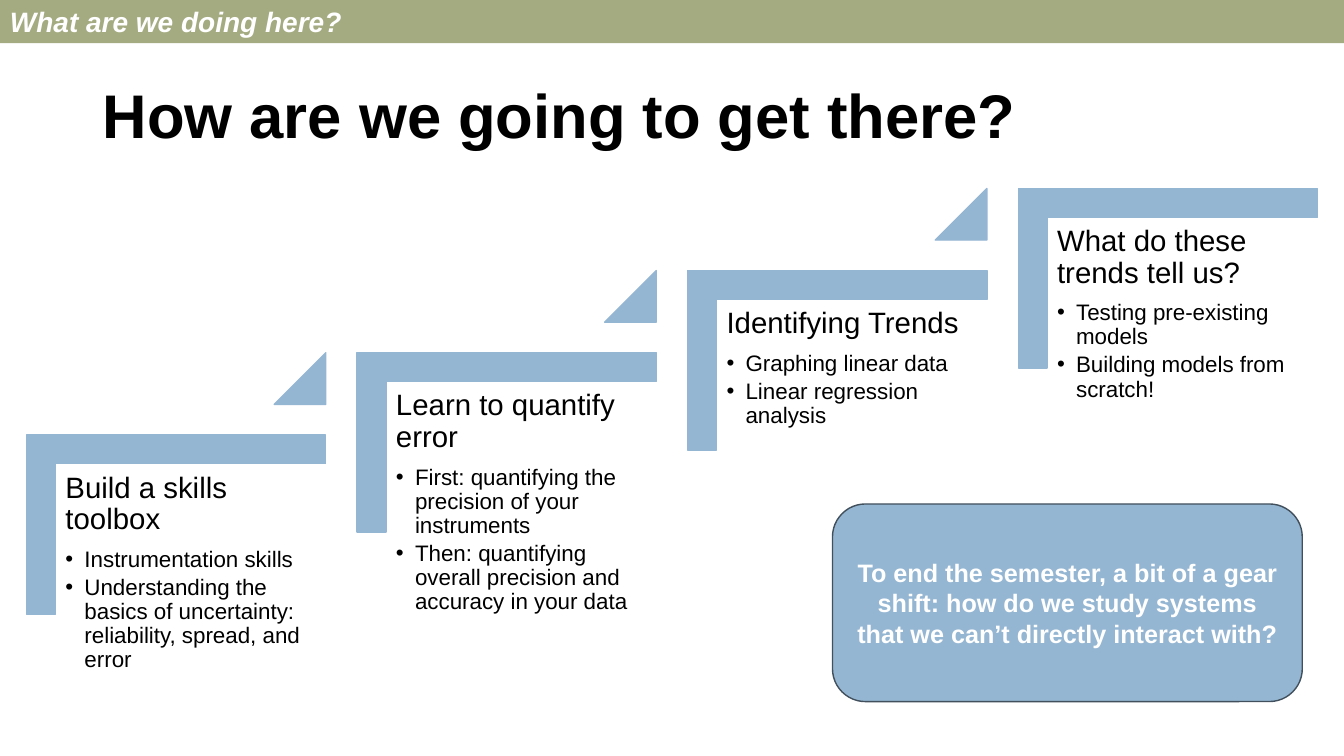
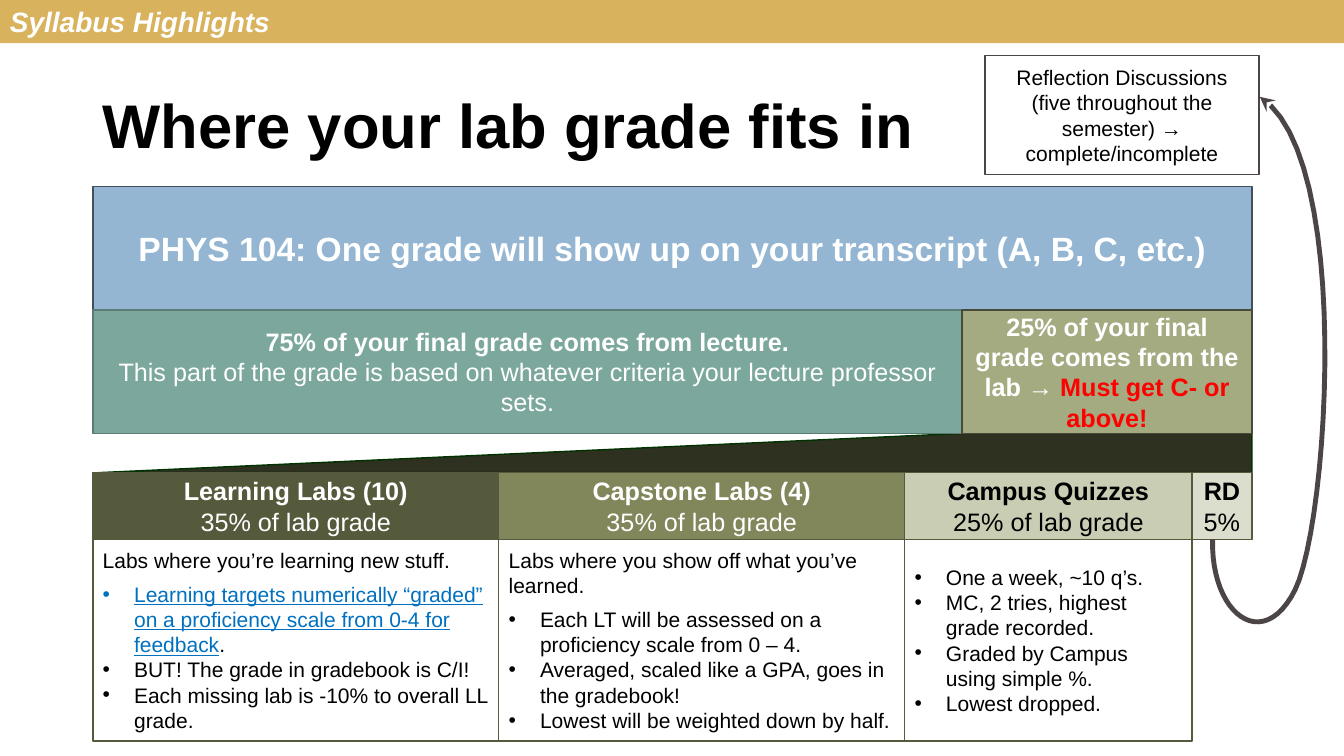
from lxml import etree
from pptx import Presentation
from pptx.dml.color import RGBColor
from pptx.enum.shapes import MSO_SHAPE
from pptx.enum.text import MSO_ANCHOR, PP_ALIGN
from pptx.oxml.ns import qn
from pptx.util import Cm, Pt

RECTANGLE, ROUNDED = MSO_SHAPE.RECTANGLE, MSO_SHAPE.ROUNDED_RECTANGLE
CORNER, TRIANGLE = MSO_SHAPE.CORNER, MSO_SHAPE.ISOSCELES_TRIANGLE
LEFT, CENTER = PP_ALIGN.LEFT, PP_ALIGN.CENTER
TOP, MIDDLE = MSO_ANCHOR.TOP, MSO_ANCHOR.MIDDLE

FONT = "Arial"
COLORS = {
    "white": "FFFFFF", "black": "000000", "red": "FF0000", "link": "0070C0",
    "blue": "94B6D2", "blue_edge": "41505C",
    "teal": "7BA79D", "teal_edge": "5B7C74",
    "sage": "A5AB81", "sage_edge": "484B39", "gold": "D8B25C",
    "olive": "565A3C", "moss": "81875A", "pale": "C9CDB3", "palest": "DBDDCD",
    "wedge": "2E3020", "wedge_edge": "003300", "grey": "4C4545",
}

# Lengths are in centimetres.
SLIDE_WIDTH, SLIDE_HEIGHT = 33.87, 19.05
BAND_HEIGHT = 1.09
TITLE_BOX = (2.34, 1.4, 29.21, 3.68)

STEPS = [
    ("Build a skills toolbox",
     ["Instrumentation skills",
      "Understanding the basics of uncertainty: reliability, spread, and error"]),
    ("Learn to quantify error",
     ["First: quantifying the precision of your instruments",
      "Then: quantifying overall precision and accuracy in your data"]),
    ("Identifying Trends",
     ["Graphing linear data", "Linear regression analysis"]),
    ("What do these trends tell us?",
     ["Testing pre-existing models", "Building models from scratch!"]),
]
STEP_LEFT, STEP_TOP = 0.67, 10.96
STEP_WIDTH, STEP_HEIGHT = 7.54, 4.52
STEP_RUN, STEP_RISE = 8.33, 2.07
STEP_BAR = 0.161
TRIANGLE_SIZE = 1.3
CLOSING = ("To end the semester, a bit of a gear shift: how do we study systems "
           "that we can’t directly interact with?")

GRID_LEFT, GRID_WIDTH = 2.34, 29.21
TRANSCRIPT_TOP, ROW_HEIGHT = 4.7, 3.11
HEADER_TOP, HEADER_HEIGHT, DETAIL_HEIGHT = 11.91, 1.68, 5.08
TRANSCRIPT = "PHYS 104: One grade will show up on your transcript (A, B, C, etc.)"
GRADE_PARTS = [
    (0.75, "teal", [
        {"text": "75% of your final grade comes from lecture.", "bold": True},
        {"text": "This part of the grade is based on whatever criteria "
                 "your lecture professor sets."}]),
    (0.25, "sage", [
        {"runs": [("25% of your final grade comes from the lab → ", {}),
                  ("Must get C- or above!", {"color": "red"})], "bold": True}]),
]
LAB_PARTS = [
    {"width": 10.23, "fill": "olive", "color": "white",
     "name": "Learning Labs (10)", "share": "35% of lab grade",
     "details": [
         {"text": "Labs where you’re learning new stuff.", "after": 6},
         {"runs": [("Learning targets numerically “graded” on a proficiency "
                    "scale from 0-4 for feedback",
                    {"color": "link", "underline": True}), (".", {})],
          "indent": 0.79},
         {"text": "BUT! The grade in gradebook is C/I!", "indent": 0.79},
         {"text": "Each missing lab is -10% to overall LL grade.",
          "indent": 0.79}]},
    {"width": 10.23, "fill": "moss", "color": "white",
     "name": "Capstone Labs (4)", "share": "35% of lab grade",
     "details": [
         {"text": "Labs where you show off what you’ve learned.", "after": 6},
         {"text": "Each LT will be assessed on a proficiency scale from 0 – 4.",
          "indent": 0.79},
         {"text": "Averaged, scaled like a GPA, goes in the gradebook!",
          "indent": 0.79},
         {"text": "Lowest will be weighted down by half.", "indent": 0.79}]},
    {"width": 7.24, "fill": "pale", "color": "black",
     "name": "Campus Quizzes", "share": "25% of lab grade",
     "details": [
         {"text": "One a week, ~10 q’s.", "indent": 0.79},
         {"text": "MC, 2 tries, highest grade recorded.", "indent": 0.79},
         {"text": "Graded by Campus using simple %.", "indent": 0.79},
         {"text": "Lowest dropped.", "indent": 0.79}]},
    {"width": 1.51, "fill": "palest", "color": "black",
     "name": "RD", "share": "5%", "details": []},
]
REFLECTION = ("Reflection Discussions (five throughout the semester) "
              "→ complete/incomplete")
WEDGE = [(2.49, 11.91), (24.28, 10.92), (31.55, 10.72), (31.55, 11.91)]
ARROW_CURVES = [
    [(30.56, 13.59), (30.51, 15.47), (31.83, 16.48), (32.64, 14.86)],
    [(32.64, 14.86), (33.48, 13.13), (34.09, 3.91), (31.75, 2.44)],
]
CURVE_PARTS = 24


def rgb(name):
    return RGBColor.from_string(COLORS[name])


def add_bullet(paragraph, indent):
    properties = paragraph._p.get_or_add_pPr()
    properties.set("marL", str(Cm(indent)))
    properties.set("indent", str(-Cm(indent)))
    etree.SubElement(properties, qn("a:buFont")).set("typeface", FONT)
    etree.SubElement(properties, qn("a:buChar")).set("char", "•")


def write_text(shape, paragraphs, size, color="white", align=CENTER,
               anchor=MIDDLE, spacing=None):
    """Fill a shape from dicts holding text or runs plus optional formatting."""
    frame = shape.text_frame
    frame.word_wrap = True
    frame.vertical_anchor = anchor
    for index, item in enumerate(paragraphs):
        paragraph = frame.add_paragraph() if index else frame.paragraphs[0]
        if "indent" in item:
            add_bullet(paragraph, item["indent"])
        paragraph.alignment = align
        if spacing:
            paragraph.line_spacing = spacing
        paragraph.space_after = Pt(item.get("after", 0))
        for text, style in item.get("runs") or [(item["text"], {})]:
            run = paragraph.add_run()
            run.text = text
            font = run.font
            font.name = FONT
            font.size = Pt(item.get("size", size))
            font.bold = item.get("bold", False)
            font.italic = item.get("italic", False)
            font.underline = style.get("underline", False)
            font.color.rgb = rgb(style.get("color", color))


def paint(shape, fill=None, line=None, line_width=1):
    shape.shadow.inherit = False
    if fill:
        shape.fill.solid()
        shape.fill.fore_color.rgb = rgb(fill)
    else:
        shape.fill.background()
    if line:
        shape.line.color.rgb = rgb(line)
        shape.line.width = Pt(line_width)
    else:
        shape.line.fill.background()
    return shape


def add_box(slide, box, fill, line=None, kind=RECTANGLE):
    shape = slide.shapes.add_shape(kind, *[Cm(length) for length in box])
    return paint(shape, fill, line)


def add_text_box(slide, box):
    return slide.shapes.add_textbox(*[Cm(length) for length in box])


def add_outline(slide, points, close):
    points = [(Cm(x), Cm(y)) for x, y in points]
    builder = slide.shapes.build_freeform(*points[0])
    builder.add_line_segments(points[1:], close=close)
    return builder.convert_to_shape()


def bezier_points(controls):
    points = []
    for part in range(CURVE_PARTS + 1):
        t = part / CURVE_PARTS
        weights = ((1 - t) ** 3, 3 * t * (1 - t) ** 2, 3 * t ** 2 * (1 - t), t ** 3)
        points.append(tuple(sum(weight * control[axis]
                                for weight, control in zip(weights, controls))
                            for axis in (0, 1)))
    return points


def add_band(slide, text, fill):
    band = add_box(slide, (0, 0, SLIDE_WIDTH, BAND_HEIGHT), fill)
    write_text(band, [{"text": text, "bold": True, "italic": True}], 20, align=LEFT)


def add_title(slide, text, anchor=MIDDLE, top_inset=0.13):
    title = add_text_box(slide, TITLE_BOX)
    title.text_frame.margin_top = Cm(top_inset)
    write_text(title, [{"text": text, "bold": True}], 44, "black", LEFT, anchor, 0.9)


def add_step(slide, index, heading, points):
    left = STEP_LEFT + index * STEP_RUN
    top = STEP_TOP - index * STEP_RISE
    # The corner is turned a quarter, so its width and height change places.
    shift = (STEP_WIDTH - STEP_HEIGHT) / 2
    corner = add_box(slide, (left + shift, top - shift, STEP_HEIGHT, STEP_WIDTH),
                     "blue", "blue", CORNER)
    corner.rotation = 90
    corner.adjustments[0] = corner.adjustments[1] = STEP_BAR

    body = add_text_box(slide, (left + 0.75, top + 0.72, 6.81, 5.97))
    frame = body.text_frame
    frame.margin_left = frame.margin_right = Cm(0.23)
    frame.margin_top = frame.margin_bottom = Cm(0.23)
    paragraphs = [{"text": heading, "size": 21, "after": 8.4}]
    paragraphs += [{"text": point, "indent": 0.48, "after": 2.7} for point in points]
    write_text(body, paragraphs, 16, "black", LEFT, TOP, 0.9)

    if index < len(STEPS) - 1:
        triangle = add_box(slide, (left + STEP_WIDTH - TRIANGLE_SIZE, top - STEP_RISE,
                                   TRIANGLE_SIZE, TRIANGLE_SIZE),
                           "blue", "blue", TRIANGLE)
        triangle.adjustments[0] = 1


def build_plan(slide):
    add_title(slide, "How are we going to get there?", TOP, 0.76)
    for index, (heading, points) in enumerate(STEPS):
        add_step(slide, index, heading, points)
    add_band(slide, "What are we doing here?", "sage")
    closing = add_box(slide, (20.98, 12.7, 11.84, 4.98), "blue", "blue_edge", ROUNDED)
    write_text(closing, [{"text": CLOSING, "bold": True}], 18)


def build_grades(slide):
    paint(add_outline(slide, WEDGE, True), "wedge", "wedge_edge")
    add_title(slide, "Where your lab grade fits in")

    transcript = add_box(slide, (GRID_LEFT, TRANSCRIPT_TOP, GRID_WIDTH, ROW_HEIGHT),
                         "blue", "blue_edge")
    write_text(transcript, [{"text": TRANSCRIPT, "bold": True}], 24)

    left = GRID_LEFT
    for share, fill, paragraphs in GRADE_PARTS:
        width = share * GRID_WIDTH
        part = add_box(slide, (left, TRANSCRIPT_TOP + ROW_HEIGHT, width, ROW_HEIGHT),
                       fill, fill + "_edge")
        write_text(part, paragraphs, 18)
        left += width

    left = GRID_LEFT
    for lab in LAB_PARTS:
        header = add_box(slide, (left, HEADER_TOP, lab["width"], HEADER_HEIGHT),
                         lab["fill"], "olive")
        write_text(header, [{"text": lab["name"], "bold": True},
                            {"text": lab["share"]}], 18, lab["color"])
        if lab["details"]:
            detail = add_box(slide, (left, HEADER_TOP + HEADER_HEIGHT, lab["width"],
                                     DETAIL_HEIGHT), "white", "olive")
            write_text(detail, lab["details"], 15, "black", LEFT)
        left += lab["width"]

    reflection = add_box(slide, (24.82, 1.4, 6.91, 3), "white", "grey")
    write_text(reflection, [{"text": REFLECTION}], 15, "black")

    first, second = [bezier_points(controls) for controls in ARROW_CURVES]
    arrow = paint(add_outline(slide, first + second[1:], False),
                  line="grey", line_width=3.5)
    etree.SubElement(arrow.line._get_or_add_ln(), qn("a:tailEnd")).set("type", "stealth")
    add_band(slide, "Syllabus Highlights", "gold")


def main():
    presentation = Presentation()
    presentation.slide_width = Cm(SLIDE_WIDTH)
    presentation.slide_height = Cm(SLIDE_HEIGHT)
    blank = presentation.slide_layouts[6]
    for build in (build_plan, build_grades):
        build(presentation.slides.add_slide(blank))
    presentation.save("out.pptx")


if __name__ == "__main__":
    main()
